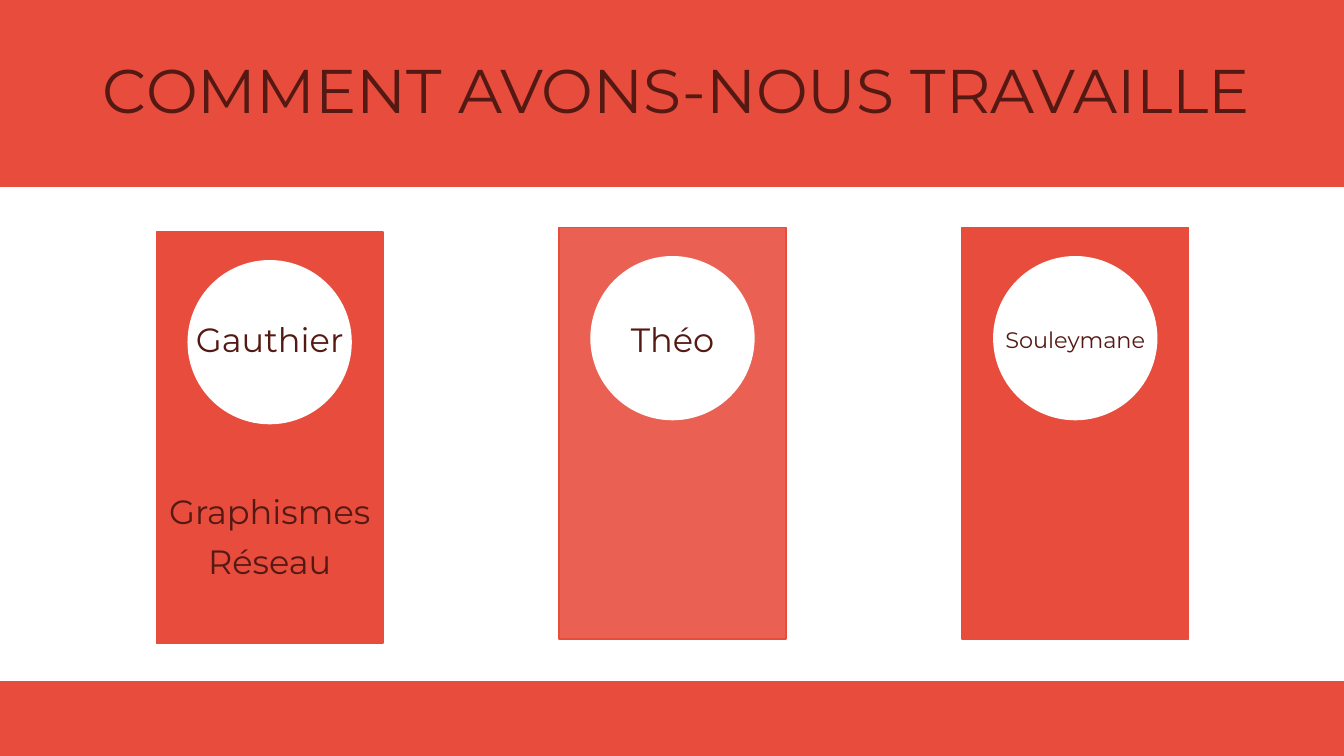
from dataclasses import dataclass

from pptx import Presentation, util as u
from pptx.dml.color import RGBColor
from pptx.enum import shapes, text


@dataclass(frozen=True)
class Theme:
    font: str = "Montserrat"
    red: str = "E74C3C"
    light_red: str = "EA6153"
    white: str = "FFFFFF"
    ink: str = "551913"
    title_size: int = 44
    body_size: int = 24
    small_size: int = 16


class SlideBuilder:
    def __init__(self, page, theme):
        self.page = page
        self.theme = theme

    def shape(self, kind, left, top, width, height, fill, line=None):
        shape = self.page.shapes.add_shape(
            kind, u.Inches(left), u.Inches(top), u.Inches(width), u.Inches(height))
        shape.shadow.inherit = False
        shape.fill.solid()
        shape.fill.fore_color.rgb = RGBColor.from_string(fill)
        if line:
            shape.line.color.rgb = RGBColor.from_string(line)
            shape.line.width = u.Pt(1)
        else:
            shape.line.fill.background()

    def rectangle(self, left, top, width, height, fill):
        self.shape(shapes.MSO_SHAPE.RECTANGLE, left, top, width, height,
                   fill, self.theme.red)

    def circle(self, left, top, size):
        self.shape(shapes.MSO_SHAPE.OVAL, left, top, size, size, self.theme.white)

    def text(self, left, top, width, height, lines, size,
             align=text.PP_ALIGN.CENTER, space_before=10):
        box = self.page.shapes.add_textbox(
            u.Inches(left), u.Inches(top), u.Inches(width), u.Inches(height))
        frame = box.text_frame
        frame.word_wrap = True
        frame.vertical_anchor = text.MSO_ANCHOR.MIDDLE
        frame.text = "\n".join(lines)
        for para in frame.paragraphs:
            para.alignment = align
            para.line_spacing = 0.9
            para.space_before = u.Pt(space_before)
            para.font.name = self.theme.font
            para.font.size = u.Pt(size)
            para.font.color.rgb = RGBColor.from_string(self.theme.ink)


SLIDE_WIDTH, SLIDE_HEIGHT = 13.33, 7.5
HEADER_HEIGHT, FOOTER_HEIGHT = 1.85, 0.74
CARD_WIDTH, CARD_HEIGHT = 2.25, 4.08
CARD_LEFT, CARD_STEP = 1.55, 3.995
CIRCLE_SIZE, CIRCLE_OFFSET = 1.63, 0.28
LABEL_TOP, LABEL_HEIGHT = 2.35, 2.08

theme = Theme()
deck = Presentation()
deck.slide_width = u.Inches(SLIDE_WIDTH)
deck.slide_height = u.Inches(SLIDE_HEIGHT)
builder = SlideBuilder(deck.slides.add_slide(deck.slide_layouts[6]), theme)

# Header and footer bands
builder.rectangle(0, SLIDE_HEIGHT - FOOTER_HEIGHT, SLIDE_WIDTH, FOOTER_HEIGHT, theme.red)
builder.rectangle(0, 0, SLIDE_WIDTH, HEADER_HEIGHT, theme.red)
builder.text(0.92, 0, 11.69, HEADER_HEIGHT, ["COMMENT AVONS-NOUS TRAVAILLE"],
             theme.title_size, text.PP_ALIGN.LEFT, space_before=0)

# One card per team member: name, name size, card top, card fill, tasks
members = [
    ("Gauthier", theme.body_size, 2.3, theme.red, ["Graphismes", "Réseau"]),
    ("Théo", theme.body_size, 2.26, theme.light_red, []),
    ("Souleymane", theme.small_size, 2.26, theme.red, []),
]
for index, (name, name_size, top, fill, tasks) in enumerate(members):
    left = CARD_LEFT + index * CARD_STEP
    builder.rectangle(left, top, CARD_WIDTH, CARD_HEIGHT, fill)
    builder.circle(left + (CARD_WIDTH - CIRCLE_SIZE) / 2, top + CIRCLE_OFFSET, CIRCLE_SIZE)
    builder.text(left, LABEL_TOP, CARD_WIDTH, LABEL_HEIGHT, [name], name_size)
    if tasks:
        builder.text(left, top + CARD_HEIGHT - LABEL_HEIGHT, CARD_WIDTH, LABEL_HEIGHT,
                     tasks, theme.body_size)

deck.save("out.pptx")
